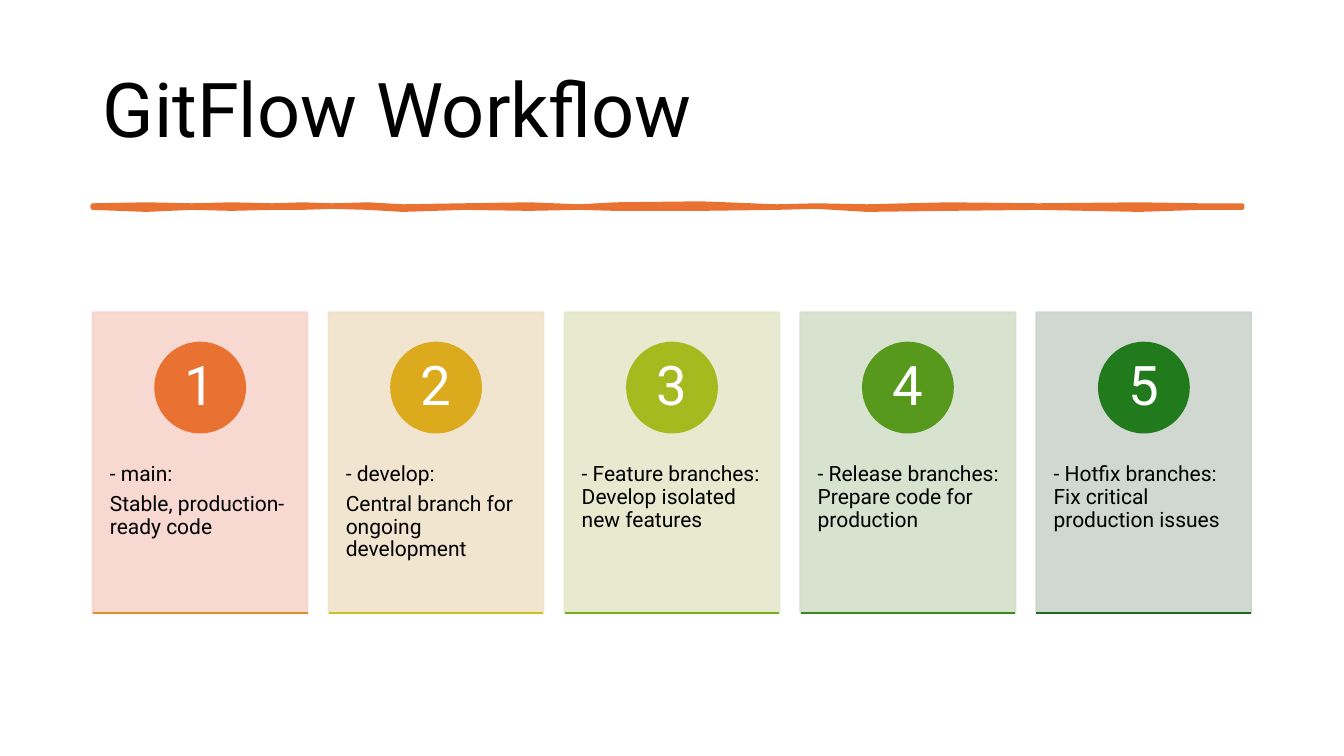
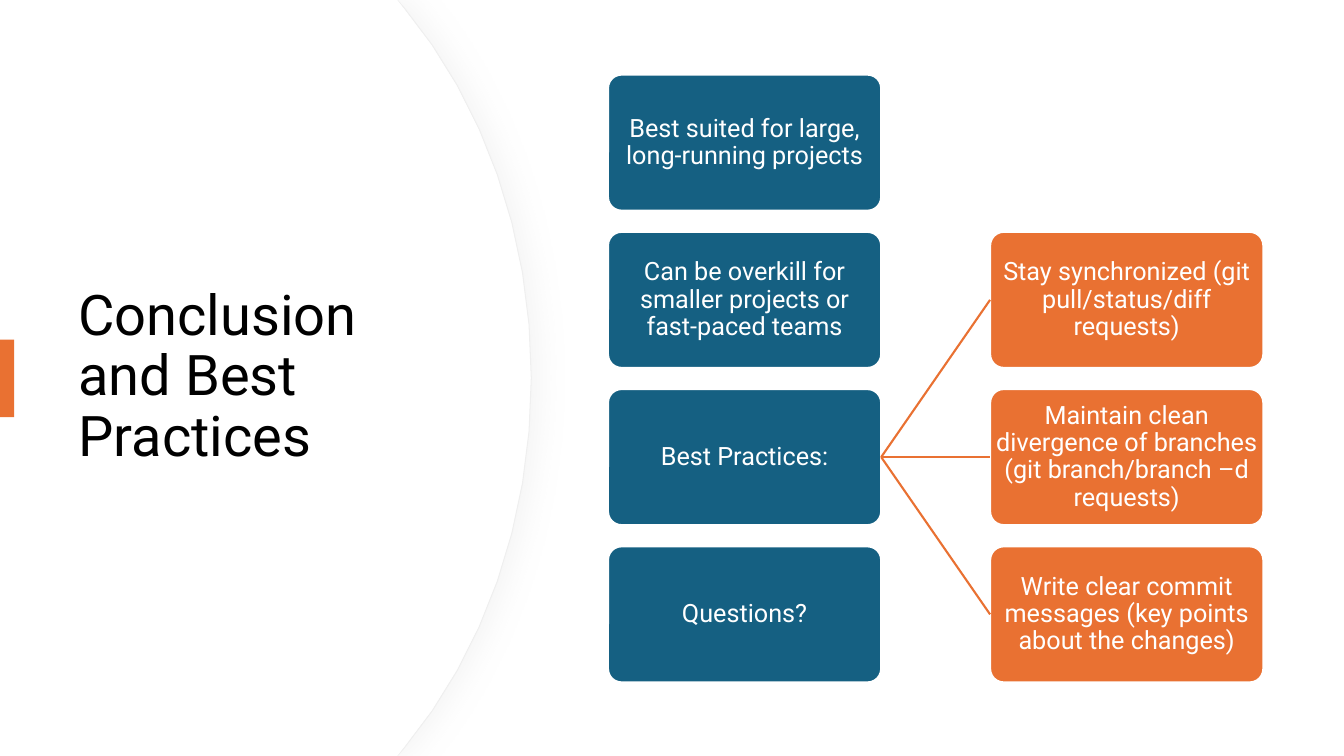
import math

from lxml import etree
from pptx import Presentation
from pptx.dml.color import RGBColor
from pptx.enum.shapes import MSO_CONNECTOR, MSO_SHAPE
from pptx.enum.text import MSO_ANCHOR, PP_ALIGN
from pptx.oxml.ns import qn
from pptx.util import Inches, Pt

RECTANGLE = MSO_SHAPE.RECTANGLE
ROUNDED = MSO_SHAPE.ROUNDED_RECTANGLE
OVAL = MSO_SHAPE.OVAL
STRAIGHT = MSO_CONNECTOR.STRAIGHT
LEFT, CENTER = PP_ALIGN.LEFT, PP_ALIGN.CENTER
TOP, MIDDLE = MSO_ANCHOR.TOP, MSO_ANCHOR.MIDDLE

FONT = "Roboto"
BLACK, WHITE = "000000", "FFFFFF"
ORANGE, BLUE = "E97132", "156082"
PANEL_EDGE, PANEL_SHADOW = "EFEFEF", "D9D9D9"
LEFT_SITE, RIGHT_SITE = 1, 3

# Card colours: background, circle, bottom line; then the paragraphs
CARDS = [
    ("F7D5CE", "E97132", "E58D25", ["- main:", "Stable, production-ready code"]),
    ("F0E3CB", "DCAB1D", "CBC11E", ["- develop:", "Central branch for ongoing development"]),
    ("E5E8CA", "A4BA1E", "7AAA1E", ["- Feature branches: Develop isolated new features"]),
    ("D3DFCA", "56991D", "398A1C", ["- Release branches: Prepare code for production"]),
    ("CCD4CD", "217A1B", "196B24", ["- Hotfix branches: Fix critical production issues"]),
]
TOPICS = [
    "Best suited for large, long-running projects",
    "Can be overkill for smaller projects or fast-paced teams",
    "Best Practices:",
    "Questions?",
]
PRACTICES = [
    "Stay synchronized (git pull/status/diff requests)",
    "Maintain clean divergence of branches (git branch/branch –d requests)",
    "Write clear commit messages (key points about the changes)",
]
# Knots of the hand-drawn rule: x, top, bottom
BRUSH_KNOTS = [
    (0.92, 2.04, 2.06), (1.45, 2.03, 2.08), (1.9, 2.04, 2.06), (2.3, 2.03, 2.07),
    (2.7, 2.04, 2.06), (3.0, 2.03, 2.06), (3.3, 2.04, 2.05), (3.65, 2.03, 2.06),
    (4.0, 2.05, 2.08), (4.6, 2.04, 2.06), (5.25, 2.03, 2.07), (5.75, 2.05, 2.06),
    (6.1, 2.03, 2.07), (6.95, 2.02, 2.07), (7.7, 2.05, 2.06), (8.1, 2.04, 2.05),
    (8.6, 2.05, 2.08), (9.4, 2.03, 2.07), (10.3, 2.04, 2.06), (11.3, 2.03, 2.08),
    (11.9, 2.04, 2.06), (12.32, 2.04, 2.06),
]


def rgb(color):
    return RGBColor.from_string(color)


def style(shape, fill, line=None, width=1.5):
    shape.shadow.inherit = False
    shape.fill.solid()
    shape.fill.fore_color.rgb = rgb(fill)
    if line:
        shape.line.color.rgb = rgb(line)
        shape.line.width = Pt(width)
    else:
        shape.line.fill.background()


def set_alpha(shape, percent):
    for color in shape.element.spPr.iter(qn("a:srgbClr")):
        etree.SubElement(color, qn("a:alpha")).set("val", str(percent * 1000))


def add_soft_shadow(shape, color, percent, blur, distance):
    effects = shape.element.spPr.find(qn("a:effectLst"))
    shadow = etree.SubElement(effects, qn("a:outerShdw"), blurRad=str(Pt(blur)),
                              dist=str(Pt(distance)), dir="0", algn="l", rotWithShape="0")
    shadow_color = etree.SubElement(shadow, qn("a:srgbClr"), val=color)
    etree.SubElement(shadow_color, qn("a:alpha"), val=str(percent * 1000))


def write(shape, paragraphs, size, color, align=LEFT, anchor=MIDDLE,
          insets=(0.1, 0.05, 0.1, 0.05), gap=0):
    frame = shape.text_frame
    frame.word_wrap = True
    frame.vertical_anchor = anchor
    (frame.margin_left, frame.margin_top,
     frame.margin_right, frame.margin_bottom) = map(Inches, insets)
    for index, text in enumerate(paragraphs):
        paragraph = frame.add_paragraph() if index else frame.paragraphs[0]
        paragraph.alignment = align
        paragraph.line_spacing = 0.9
        paragraph.space_after = Pt(gap)
        run = paragraph.add_run()
        run.text = text
        run.font.name = FONT
        run.font.size = Pt(size)
        run.font.color.rgb = rgb(color)


def add_box(slide, kind, box, fill, line=None):
    shape = slide.shapes.add_shape(kind, *map(Inches, box))
    style(shape, fill, line)
    return shape


def add_title(slide, text, box, size):
    write(slide.shapes.add_textbox(*map(Inches, box)), [text], size, BLACK)


def add_line(slide, color, start=(0, 0), end=(0, 0)):
    connector = slide.shapes.add_connector(STRAIGHT, *map(Inches, start + end))
    connector.line.color.rgb = rgb(color)
    connector.line.width = Pt(1.5)
    etree.SubElement(connector.element.spPr, qn("a:effectLst"))
    return connector


def add_outline(slide, points):
    corners = [(Inches(x), Inches(y)) for x, y in points]
    builder = slide.shapes.build_freeform(*corners[0])
    builder.add_line_segments(corners[1:], close=True)
    return builder.convert_to_shape()


def add_brush_rule(slide):
    upper = [(x, top) for x, top, _ in BRUSH_KNOTS]
    lower = [(x, bottom) for x, _, bottom in reversed(BRUSH_KNOTS)]
    style(add_outline(slide, upper + lower), ORANGE, ORANGE, 3.25)


def add_curved_panel(slide, right, line=None, steps=8):
    # Upper half of the curved edge, then its mirror below the middle
    curve = [(right - 1.26, 0.08), (right - 0.48, 1.02), (right, 2.32), (right, 3.75)]
    upper = [(0, 0), (3.94, 0)]
    for step in range(steps + 1):
        t = step / steps
        weights = [math.comb(3, i) * t ** i * (1 - t) ** (3 - i) for i in range(4)]
        upper.append(tuple(sum(w * point[axis] for w, point in zip(weights, curve))
                           for axis in range(2)))
    lower = [(x, 7.5 - y) for x, y in reversed(upper[:-1])]
    panel = add_outline(slide, upper + lower)
    style(panel, WHITE, line, 0.75)
    return panel


def add_card(slide, number, left, colors, paragraphs):
    top, width, height, circle = 3.1, 2.13, 2.98, 0.89
    background, circle_color, line_color = colors
    card = add_box(slide, RECTANGLE, (left, top, width, height), background, background)
    set_alpha(card, 90)
    write(card, paragraphs, 15, BLACK, anchor=TOP, insets=(0.17, 1.5, 0.1, 0.06), gap=5)
    badge = add_box(slide, OVAL, (left + (width - circle) / 2, top + 0.3, circle, circle),
                    circle_color, circle_color)
    write(badge, [str(number)], 39, WHITE, CENTER, insets=(0.07, 0.01, 0.07, 0.01))
    bottom = top + height
    add_line(slide, line_color, (left, bottom), (left + width, bottom))


def add_node(slide, text, left, row, color):
    node = add_box(slide, ROUNDED, (left, 0.74 + 1.56 * row, 2.71, 1.35), color, WHITE)
    node.adjustments[0] = 0.1
    write(node, [text], 18, WHITE, CENTER, insets=(0.01,) * 4)
    return node


def build_workflow(slide):
    add_title(slide, "GitFlow Workflow", (0.92, 0.4, 11.5, 1.45), 54)
    add_brush_rule(slide)
    for index, (*colors, paragraphs) in enumerate(CARDS):
        add_card(slide, index + 1, 0.92 + 2.34 * index, colors, paragraphs)


def build_conclusion(slide):
    # Curved title panel
    edge = add_curved_panel(slide, 5.27, PANEL_EDGE)
    add_soft_shadow(edge, PANEL_SHADOW, 25, 20, 6)
    add_curved_panel(slide, 5.26)
    add_title(slide, "Conclusion and Best Practices", (0.68, 1.27, 3.94, 4.95), 40)
    add_box(slide, RECTANGLE, (0, 3.37, 0.14, 0.77), ORANGE)

    # Topics, with the practices branching from the third one
    topics = [add_node(slide, text, 6.03, row, BLUE) for row, text in enumerate(TOPICS)]
    for row, text in enumerate(PRACTICES, start=1):
        practice = add_node(slide, text, 9.82, row, ORANGE)
        branch = add_line(slide, ORANGE)
        branch.begin_connect(topics[2], RIGHT_SITE)
        branch.end_connect(practice, LEFT_SITE)


def main():
    presentation = Presentation()
    presentation.slide_width = Inches(13.33)
    presentation.slide_height = Inches(7.5)
    blank = presentation.slide_layouts[6]
    for build in (build_workflow, build_conclusion):
        build(presentation.slides.add_slide(blank))
    presentation.save("out.pptx")


if __name__ == "__main__":
    main()
